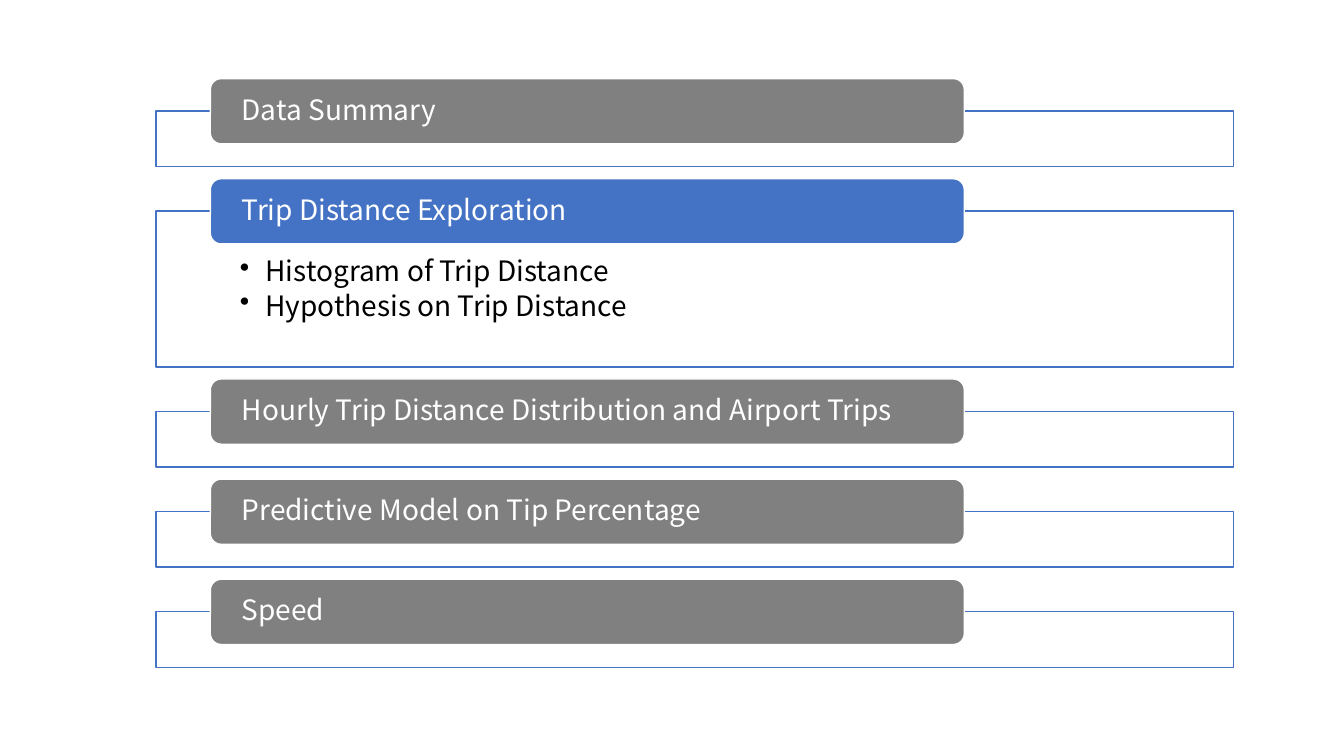
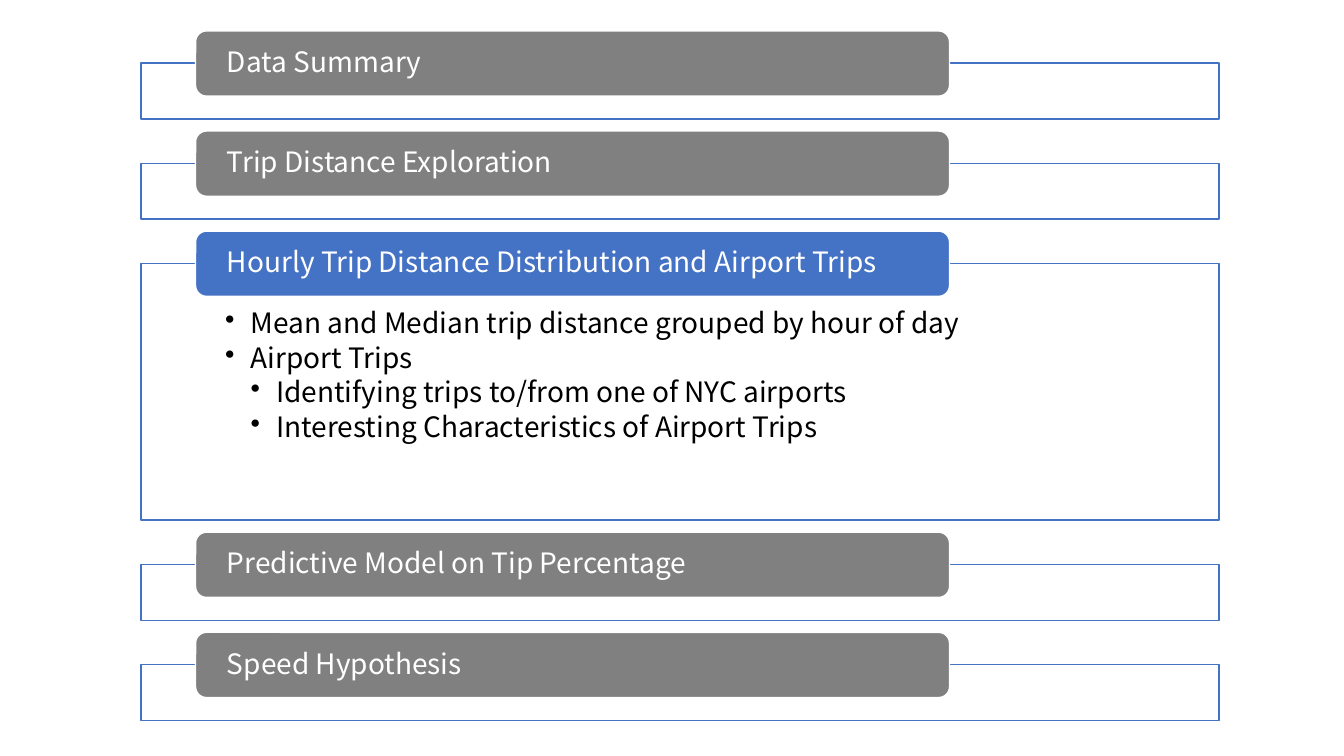
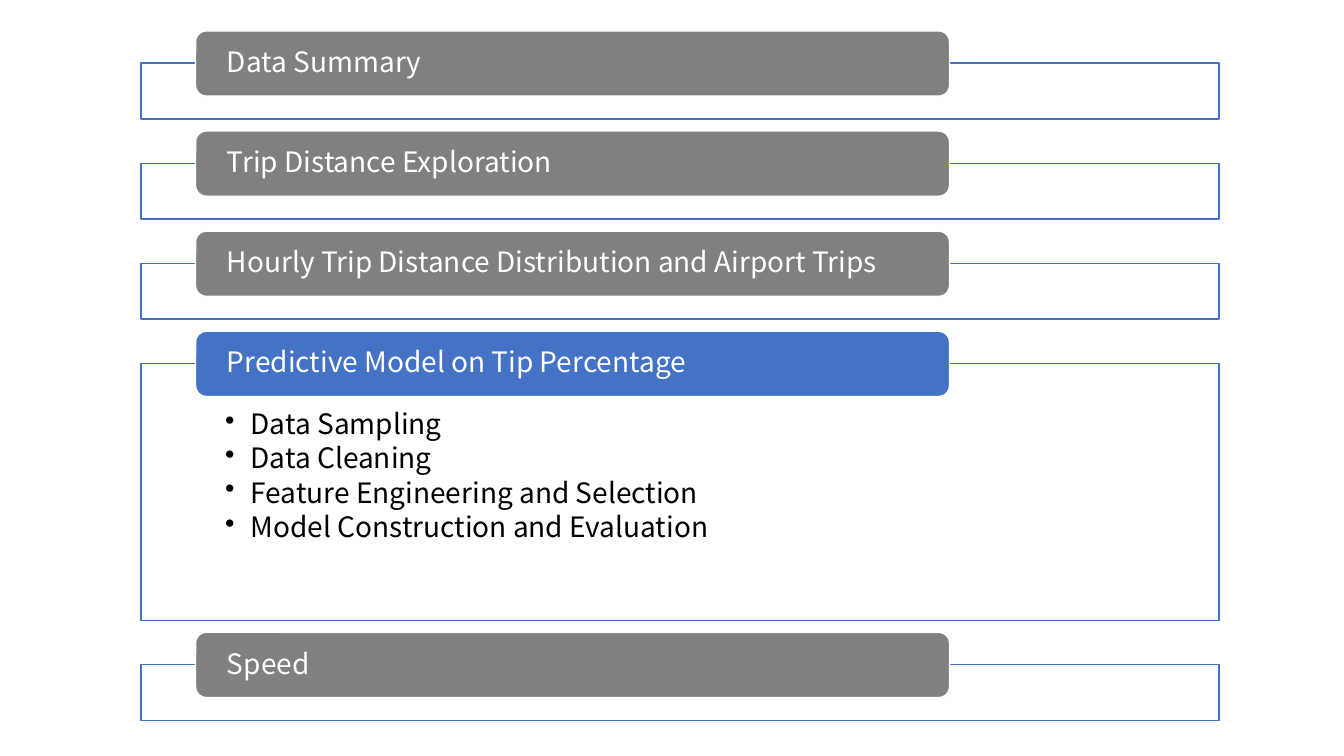
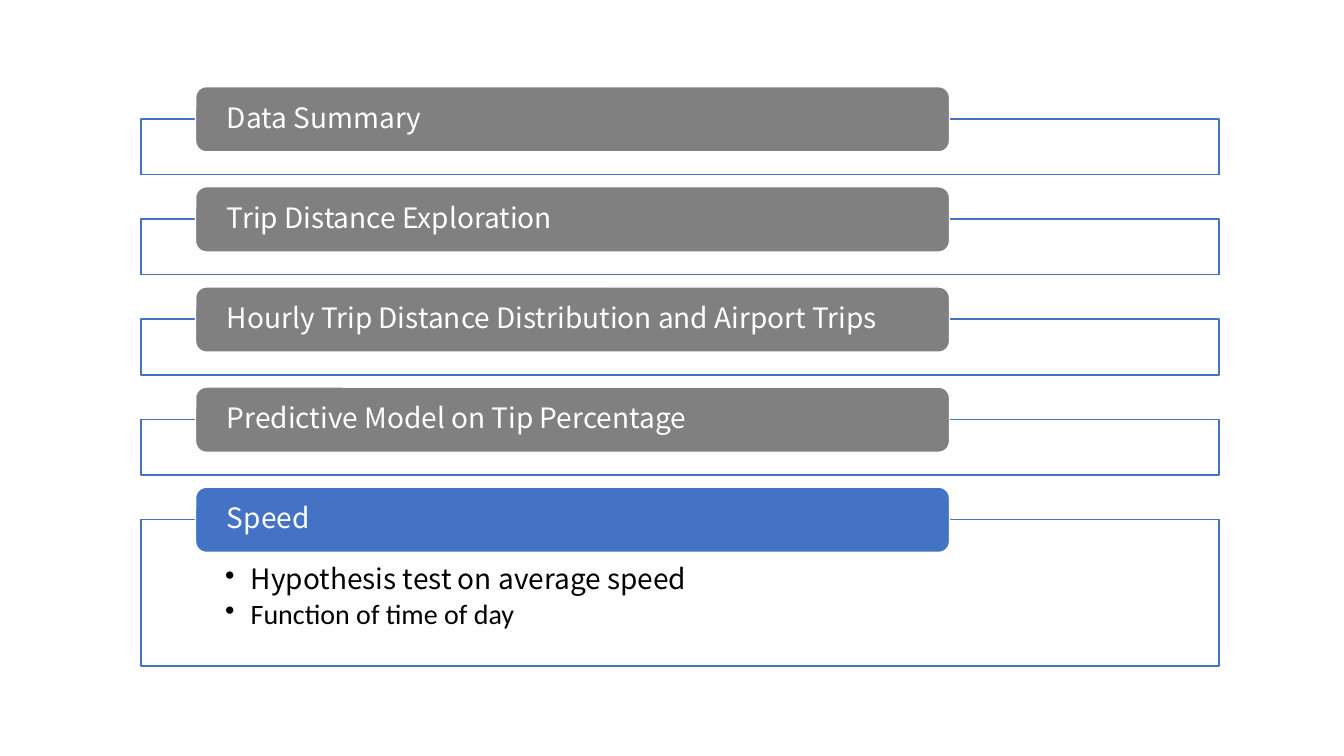
from dataclasses import dataclass

from lxml import etree
from pptx import Presentation
from pptx import util as u
from pptx.dml.color import RGBColor
from pptx.enum import shapes, text
from pptx.oxml import ns

PX = 6096
SLIDE_WIDTH, SLIDE_HEIGHT = 2000, 1125

WHITE = RGBColor(0xFF, 0xFF, 0xFF)
BLACK = RGBColor(0x00, 0x00, 0x00)
BLUE = RGBColor(0x44, 0x72, 0xC4)
GRAY = RGBColor(0x80, 0x80, 0x80)
FONT = "Noto Sans CJK SC"
FONT_SIZE = u.Pt(20)

PANEL_WIDTH = 1604
CLOSED_HEIGHT = 83
PANEL_GAP = 66
PANEL_INSETS = (125, 69, 125, 24)
TAB_OFFSET = 81
TAB_RISE = 48
TAB_WIDTH, TAB_HEIGHT = 1122, 97
TAB_INSETS = (42, 0, 42, 0)
BULLET_INDENT = 38

SUMMARY = "Data Summary"
EXPLORATION = "Trip Distance Exploration"
HOURLY = "Hourly Trip Distance Distribution and Airport Trips"
MODEL = "Predictive Model on Tip Percentage"
SPEED = "Speed"


@dataclass(frozen=True)
class Topic:
    label: str
    level: int = 1
    font: str = FONT


@dataclass(frozen=True)
class Agenda:
    left: int
    top: int
    current: str
    open_height: int
    topics: tuple[Topic, ...]
    last_section: str = SPEED

    @property
    def sections(self) -> tuple[str, ...]:
        return SUMMARY, EXPLORATION, HOURLY, MODEL, self.last_section


AGENDAS = (
    Agenda(232, 165, EXPLORATION, 232, (
        Topic("Histogram of Trip Distance"),
        Topic("Hypothesis on Trip Distance"),
    )),
    Agenda(210, 94, HOURLY, 382, (
        Topic("Mean and Median trip distance grouped by hour of day"),
        Topic("Airport Trips"),
        Topic("Identifying trips to/from one of NYC airports", level=2),
        Topic("Interesting Characteristics of Airport Trips", level=2),
    ), last_section="Speed Hypothesis"),
    Agenda(210, 94, MODEL, 382, (
        Topic("Data Sampling"),
        Topic("Data Cleaning"),
        Topic("Feature Engineering and Selection"),
        Topic("Model Construction and Evaluation"),
    )),
    Agenda(210, 177, SPEED, 218, (
        Topic("Hypothesis test on average speed"),
        Topic("Function of time of day", font="Calibri"),
    )),
)


def px(length: int) -> u.Emu:
    return u.Emu(length * PX)


def add_box(slide, preset, bounds: tuple[int, int, int, int],
            fill: RGBColor, line: RGBColor):
    box = slide.shapes.add_shape(preset, *map(px, bounds))
    box.shadow.inherit = False
    box.fill.solid()
    box.fill.fore_color.rgb = fill
    box.line.color.rgb = line
    box.line.width = u.Pt(1)
    return box


def set_frame(frame, insets: tuple[int, int, int, int], anchor) -> None:
    frame.word_wrap = True
    frame.vertical_anchor = anchor
    (frame.margin_left, frame.margin_top,
     frame.margin_right, frame.margin_bottom) = map(px, insets)


def style_paragraph(paragraph, color: RGBColor, font: str = FONT) -> None:
    paragraph.alignment = text.PP_ALIGN.LEFT
    paragraph.line_spacing = 0.9
    for run in paragraph.runs:
        run.font.name = font
        run.font.size = FONT_SIZE
        run.font.color.rgb = color


def set_bullet(paragraph, level: int) -> None:
    paragraph.level = level
    properties = paragraph._p.get_or_add_pPr()
    properties.set("marL", str(px(level * BULLET_INDENT)))
    properties.set("indent", str(px(-BULLET_INDENT)))
    spacing = etree.SubElement(properties, ns.qn("a:spcAft"))
    etree.SubElement(spacing, ns.qn("a:spcPct")).set("val", "15000")
    etree.SubElement(properties, ns.qn("a:buChar")).set("char", "•")


def add_panel(slide, left: int, top: int, height: int,
              topics: tuple[Topic, ...]) -> None:
    panel = add_box(slide, shapes.MSO_SHAPE.RECTANGLE,
                    (left, top, PANEL_WIDTH, height), WHITE, BLUE)
    fill_color = panel._element.spPr.find(ns.qn("a:solidFill"))[0]
    etree.SubElement(fill_color, ns.qn("a:alpha")).set("val", "90000")
    if not topics:
        return
    frame = panel.text_frame
    set_frame(frame, PANEL_INSETS, text.MSO_ANCHOR.TOP)
    frame.text = "\n".join(topic.label for topic in topics)
    for paragraph, topic in zip(frame.paragraphs, topics):
        style_paragraph(paragraph, BLACK, topic.font)
        set_bullet(paragraph, topic.level)


def add_tab(slide, left: int, top: int, section: str, fill: RGBColor) -> None:
    tab = add_box(slide, shapes.MSO_SHAPE.ROUNDED_RECTANGLE,
                  (left, top, TAB_WIDTH, TAB_HEIGHT), fill, WHITE)
    set_frame(tab.text_frame, TAB_INSETS, text.MSO_ANCHOR.MIDDLE)
    tab.text_frame.text = section
    style_paragraph(tab.text_frame.paragraphs[0], WHITE)


def add_agenda(slide, agenda: Agenda) -> None:
    top = agenda.top
    for section in agenda.sections:
        is_current = section == agenda.current
        height = agenda.open_height if is_current else CLOSED_HEIGHT
        add_panel(slide, agenda.left, top, height,
                  agenda.topics if is_current else ())
        add_tab(slide, agenda.left + TAB_OFFSET, top - TAB_RISE, section,
                BLUE if is_current else GRAY)
        top += height + PANEL_GAP


def main() -> None:
    deck = Presentation()
    deck.slide_width, deck.slide_height = px(SLIDE_WIDTH), px(SLIDE_HEIGHT)
    blank = deck.slide_layouts[6]
    for agenda in AGENDAS:
        add_agenda(deck.slides.add_slide(blank), agenda)
    deck.save("out.pptx")


if __name__ == "__main__":
    main()
